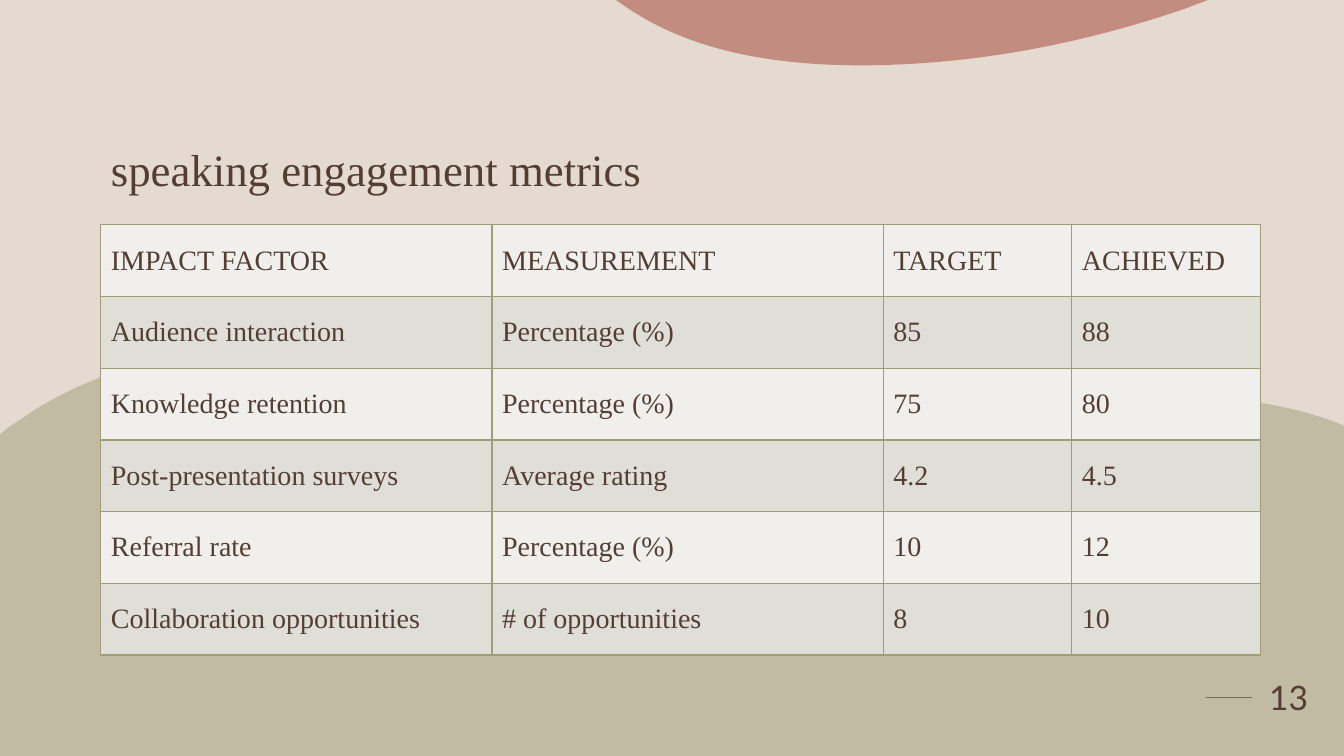
from lxml.etree import SubElement
from pptx import Presentation
from pptx.dml.color import RGBColor
from pptx.enum.shapes import MSO_CONNECTOR
from pptx.enum.text import MSO_ANCHOR, MSO_AUTO_SIZE, PP_ALIGN
from pptx.oxml.ns import qn
from pptx.util import Inches, Pt

# Palette and fonts
SAND = RGBColor(0xE5, 0xDA, 0xCF)
BROWN = RGBColor(0x54, 0x3E, 0x34)
OLIVE = RGBColor(0xA0, 0x9D, 0x79)
TERRACOTTA = RGBColor(0xAC, 0x5B, 0x4C)
LIGHT_ROW = RGBColor(0xF0, 0xEF, 0xEC)
DARK_ROW = RGBColor(0xDF, 0xDF, 0xD7)
SERIF = "Times New Roman"
SANS = "Lato"

# Grid: the slide is 13.33 columns wide and 7.5 rows high
GRID_COLUMNS, GRID_ROWS = 13.33, 7.5
SLIDE_WIDTH, SLIDE_HEIGHT = Inches(GRID_COLUMNS), Inches(GRID_ROWS)

# Outlines: a pair is a straight line's end, six numbers are a Bezier curve
HILLS = [
    (2.02, 3.58),
    (2.36, 3.59, 2.7, 3.66, 3.04, 3.79),
    (3.34, 3.9, 3.6, 4.08, 3.86, 4.25),
    (4.43, 4.62, 5.05, 4.9, 5.77, 5),
    (6.37, 5.09, 6.98, 5.03, 7.59, 4.88),
    (8.27, 4.72, 8.67, 4.57, 9.08, 4.43),
    (9.48, 4.29, 11.61, 3.57, 13.25, 4.19),
    (13.33, 4.22), (13.33, 7.5), (0, 7.5), (0, 4.31), (0.07, 4.25),
    (0.16, 4.19, 0.25, 4.13, 0.34, 4.07),
    (0.9, 3.72, 1.46, 3.56, 2.02, 3.58),
]
TOP_BLOB = [
    (6.11, 0), (11.98, 0), (11.77, 0.08),
    (10.56, 0.5, 9.61, 0.59, 9.24, 0.62),
    (7.56, 0.75, 6.71, 0.41, 6.21, 0.07),
]

# Table content
COLUMN_WIDTHS = [3.88, 3.88, 1.87, 1.87]
TABLE_HEIGHT = 4.27
METRICS = [
    ["IMPACT FACTOR", "MEASUREMENT", "TARGET", "ACHIEVED"],
    ["Audience interaction", "Percentage (%)", "85", "88"],
    ["Knowledge retention", "Percentage (%)", "75", "80"],
    ["Post-presentation surveys", "Average rating", "4.2", "4.5"],
    ["Referral rate", "Percentage (%)", "10", "12"],
    ["Collaboration opportunities", "# of opportunities", "8", "10"],
]


def across(columns):
    return round(SLIDE_WIDTH * columns / GRID_COLUMNS)


def down(rows):
    return round(SLIDE_HEIGHT * rows / GRID_ROWS)


def place(shape, left, top, width, height):
    shape.left, shape.top = across(left), down(top)
    shape.width, shape.height = across(width), down(height)


def add_run(paragraph, text, size, font_name):
    run = paragraph.add_run()
    run.text = text
    run.font.size = Pt(size)
    run.font.name = font_name
    run.font.color.rgb = BROWN


def bend_segments(blob, segments):
    """Turn the straight segments that have control points into Bezier curves."""
    lines = list(blob.element.iter(qn("a:lnTo")))
    for line, segment in zip(lines, segments[1:]):
        if len(segment) == 2:
            continue
        curve = line.makeelement(qn("a:cubicBezTo"))
        for x, y in (segment[:2], segment[2:4]):
            SubElement(curve, qn("a:pt"), x=str(across(x) - blob.left), y=str(down(y) - blob.top))
        curve.append(line[0])
        line.getparent().replace(line, curve)


def add_blob(slide, segments, height, color, opacity):
    points = [(across(segment[-2]), down(segment[-1])) for segment in segments]
    builder = slide.shapes.build_freeform(*points[0])
    builder.add_line_segments(points[1:], close=True)
    blob = builder.convert_to_shape()
    bend_segments(blob, segments)

    # The frame reaches to the lowest part of the curves
    blob.height = down(height)
    blob.element.find(f".//{qn('a:pathLst')}")[0].set("h", str(down(height)))

    blob.shadow.inherit = False
    blob.line.fill.background()
    blob.fill.solid()
    blob.fill.fore_color.rgb = color
    color_element = blob.element.spPr.find(f".//{qn('a:srgbClr')}")
    SubElement(color_element, qn("a:alpha"), val=str(opacity * 1000))


def add_title(slide, text):
    title = slide.shapes.title
    slide.shapes.element.append(title.element)  # in front of the background
    place(title, 1, 1, 11.33, 1)
    frame = title.text_frame
    frame.auto_size = MSO_AUTO_SIZE.NONE
    frame.vertical_anchor = MSO_ANCHOR.BOTTOM
    paragraph = frame.paragraphs[0]
    paragraph.alignment = PP_ALIGN.LEFT
    paragraph.line_spacing = 0.9
    add_run(paragraph, text, 32, SERIF)


def add_borders(cell):
    properties = cell._tc.get_or_add_tcPr()
    for side in ("lnL", "lnR", "lnT", "lnB"):
        border = SubElement(properties, qn(f"a:{side}"), w=str(Pt(1)))
        fill = SubElement(border, qn("a:solidFill"))
        SubElement(fill, qn("a:srgbClr"), val=str(OLIVE))


def add_metrics_table(slide):
    table = slide.shapes.add_table(
        len(METRICS), len(COLUMN_WIDTHS),
        across(1), down(2.23), across(sum(COLUMN_WIDTHS)), down(TABLE_HEIGHT),
    ).table
    table.first_row = table.horz_banding = False
    for column, width in zip(table.columns, COLUMN_WIDTHS):
        column.width = across(width)
    for row_index, texts in enumerate(METRICS):
        for column_index, text in enumerate(texts):
            cell = table.cell(row_index, column_index)
            cell.vertical_anchor = MSO_ANCHOR.MIDDLE
            add_borders(cell)
            cell.fill.solid()
            cell.fill.fore_color.rgb = DARK_ROW if row_index % 2 else LIGHT_ROW
            add_run(cell.text_frame.paragraphs[0], text, 20, SERIF)


def add_rule(slide, left, right, top):
    rule = slide.shapes.add_connector(
        MSO_CONNECTOR.STRAIGHT, across(left), down(top), across(right), down(top)
    )
    rule.line.color.rgb = BROWN
    rule.line.width = Pt(1.25)
    SubElement(rule.element.spPr, qn("a:effectLst"))


def add_page_number(slide, number):
    box = slide.shapes.add_textbox(across(12.42), down(6.43), across(0.72), down(0.98))
    frame = box.text_frame
    frame.word_wrap = True
    frame.vertical_anchor = MSO_ANCHOR.MIDDLE
    paragraph = frame.paragraphs[0]
    paragraph.alignment = PP_ALIGN.CENTER
    add_run(paragraph, number, 24, SANS)


def main():
    presentation = Presentation()
    presentation.slide_width = SLIDE_WIDTH
    presentation.slide_height = SLIDE_HEIGHT
    slide = presentation.slides.add_slide(presentation.slide_layouts.get_by_name("Title Only"))

    # Background, with the short rule beneath the hills
    slide.background.fill.solid()
    slide.background.fill.fore_color.rgb = SAND
    add_rule(slide, 11.96, 12.42, 6.92)
    add_blob(slide, HILLS, 3.92, OLIVE, 50)
    add_blob(slide, TOP_BLOB, 0.65, TERRACOTTA, 60)

    # Content
    add_title(slide, "speaking engagement metrics")
    add_metrics_table(slide)
    add_page_number(slide, "13")

    presentation.save("out.pptx")


if __name__ == "__main__":
    main()
